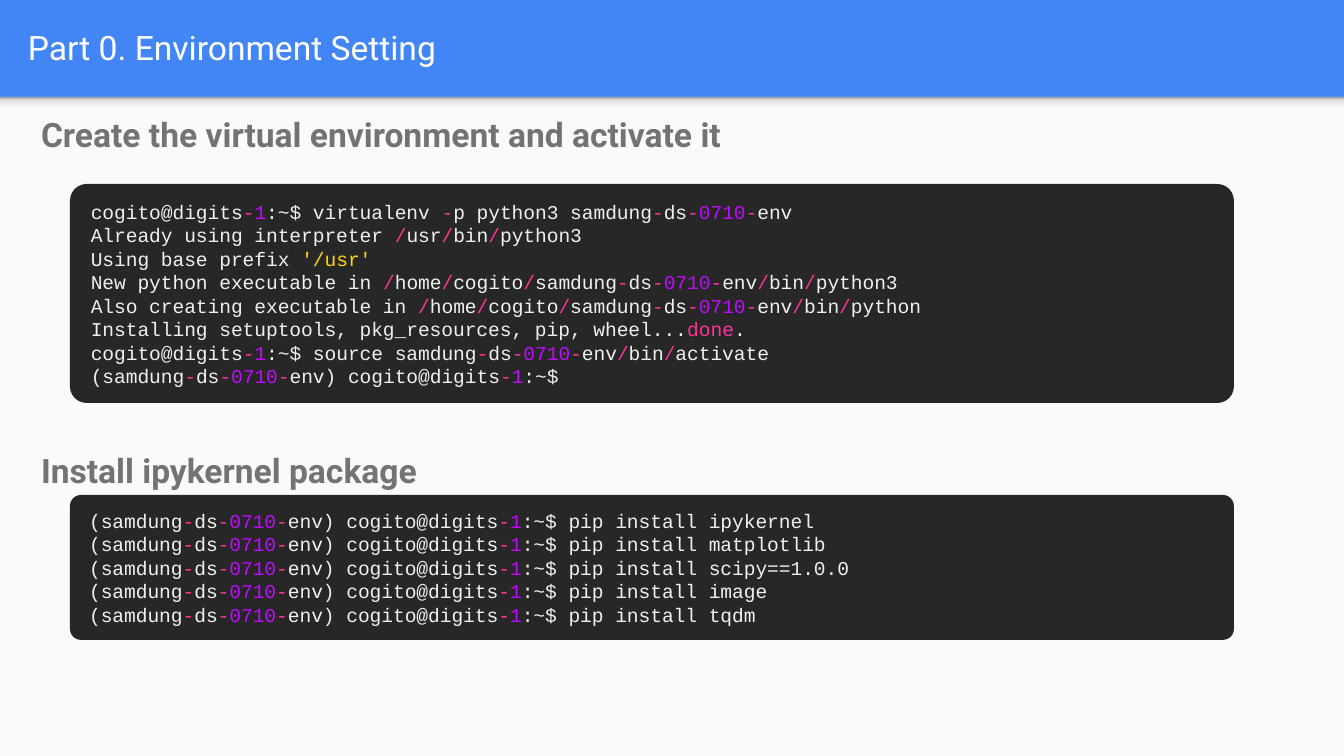
from lxml.etree import SubElement
from pptx import Presentation
from pptx.dml.color import RGBColor
from pptx.enum.shapes import MSO_SHAPE
from pptx.enum.text import MSO_ANCHOR, MSO_AUTO_SIZE, PP_ALIGN
from pptx.oxml.ns import qn
from pptx.util import Pt

EMU_PER_PX = 914400 / 134.4
WIDTH, HEIGHT, HEADER = 1344, 756, 97

BLUE = RGBColor(0x42, 0x85, 0xF4)
PAPER = RGBColor(0xFA, 0xFA, 0xFA)
WHITE = RGBColor(0xFF, 0xFF, 0xFF)
GRAY = RGBColor(0x73, 0x73, 0x73)
DARK = RGBColor(0x27, 0x27, 0x27)
PLAIN = RGBColor(0xF0, 0xF0, 0xF0)
PINK = RGBColor(0xFF, 0x33, 0x99)
VIOLET = RGBColor(0xC1, 0x0A, 0xFF)
YELLOW = RGBColor(0xFF, 0xD5, 0x00)
SHADE_STOPS = [
    (0, RGBColor(0xF9, 0xF9, 0xF9)),
    (36, RGBColor(0xF9, 0xF9, 0xF9)),
    (80, RGBColor(0xDE, 0xDE, 0xDE)),
    (100, RGBColor(0x99, 0x99, 0x99)),
]

# Code lines are split at "|"; pieces not listed here are plain.
TOKEN_COLORS = {"-": PINK, "/": PINK, "done": PINK,
                "1": VIOLET, "0710": VIOLET, "'/usr'": YELLOW}
ENV = "samdung|-|ds|-|0710|-|env"
HOST = "cogito@digits|-|1|:~$"
ENV_HOST = f"({ENV}) {HOST}"
ENV_BIN = f"{ENV}|/|bin|/|"
HOME_BIN = f"|/|home|/|cogito|/|{ENV_BIN}"
CREATE_LINES = [
    f"{HOST} virtualenv |-|p python3 {ENV}",
    "Already using interpreter |/|usr|/|bin|/|python3",
    "Using base prefix |'/usr'",
    f"New python executable in {HOME_BIN}python3",
    f"Also creating executable in {HOME_BIN}python",
    "Installing setuptools, pkg_resources, pip, wheel...|done|.",
    f"{HOST} source {ENV_BIN}activate",
    ENV_HOST,
]
PACKAGES = ["ipykernel", "matplotlib", "scipy==1.0.0", "image", "tqdm"]
INSTALL_LINES = [f"{ENV_HOST} pip install {package}" for package in PACKAGES]


def px(length):
    return round(length * EMU_PER_PX)


def set_margins(frame, side, end):
    frame.margin_left = frame.margin_right = px(side)
    frame.margin_top = frame.margin_bottom = px(end)


def add_span(para, text, font, size, color, bold=False):
    span = para.add_run()
    span.text = text
    span.font.name = font
    span.font.size = Pt(size)
    span.font.color.rgb = color
    span.font.bold = bold


def add_block(page, kind, left, top, width, height):
    block = page.shapes.add_shape(kind, px(left), px(top), px(width), px(height))
    block.shadow.inherit = False
    block.line.fill.background()
    return block


def add_panel(page):
    """Light body area with a soft shade under the header."""
    panel = add_block(page, MSO_SHAPE.RECTANGLE, 0, HEADER, WIDTH, HEIGHT - HEADER)
    panel.fill.solid()
    panel.fill.fore_color.rgb = PAPER

    shade = add_block(page, MSO_SHAPE.RECTANGLE, 0, HEADER, WIDTH, 16)
    shade.fill.gradient()
    shade.fill.gradient_angle = 90
    stops = shade._element.spPr.find(qn("a:gradFill")).find(qn("a:gsLst"))
    for stop in list(stops):
        stops.remove(stop)
    for percent, color in SHADE_STOPS:
        stop = SubElement(stops, qn("a:gs"), pos=str(percent * 1000))
        SubElement(stop, qn("a:srgbClr"), val=str(color))


def set_title(page, text):
    title = page.shapes.title
    title.left, title.top, title.width, title.height = map(px, (15, 3, 1297, 89))
    frame = title.text_frame
    set_margins(frame, 13, 13)
    frame.vertical_anchor = MSO_ANCHOR.MIDDLE
    frame.auto_size = MSO_AUTO_SIZE.NONE
    para = frame.paragraphs[0]
    para.alignment = PP_ALIGN.LEFT
    add_span(para, text, "Roboto", 18, WHITE)


def add_heading(page, top, text):
    box = page.shapes.add_textbox(px(28), px(top), px(1247), px(63))
    frame = box.text_frame
    frame.word_wrap = True
    set_margins(frame, 13, 13)
    para = frame.paragraphs[0]
    para.line_spacing = 1.15
    add_span(para, text, "Roboto", 18, GRAY, bold=True)


def add_code(page, top, height, lines):
    box = add_block(page, MSO_SHAPE.ROUNDED_RECTANGLE, 70, top, 1164, height)
    box.adjustments[0] = 0.076
    box.fill.solid()
    box.fill.fore_color.rgb = DARK
    frame = box.text_frame
    frame.word_wrap = False
    frame.auto_size = MSO_AUTO_SIZE.SHAPE_TO_FIT_TEXT
    frame.vertical_anchor = MSO_ANCHOR.MIDDLE
    set_margins(frame, 16, 11)
    for index, line in enumerate(lines):
        para = frame.add_paragraph() if index else frame.paragraphs[0]
        para.alignment = PP_ALIGN.LEFT
        for piece in line.split("|"):
            if piece:
                color = TOKEN_COLORS.get(piece, PLAIN)
                add_span(para, piece, "Courier New", 10.5, color)


def main():
    deck = Presentation()
    deck.slide_width, deck.slide_height = px(WIDTH), px(HEIGHT)
    page = deck.slides.add_slide(deck.slide_layouts[5])
    page.background.fill.solid()
    page.background.fill.fore_color.rgb = BLUE

    add_panel(page)
    set_title(page, "Part 0. Environment Setting")
    add_heading(page, 95, "Create the virtual environment and activate it")
    add_code(page, 184, 219, CREATE_LINES)
    add_code(page, 495, 145, INSTALL_LINES)
    add_heading(page, 431, "Install ipykernel package")
    deck.save("out.pptx")


if __name__ == "__main__":
    main()
